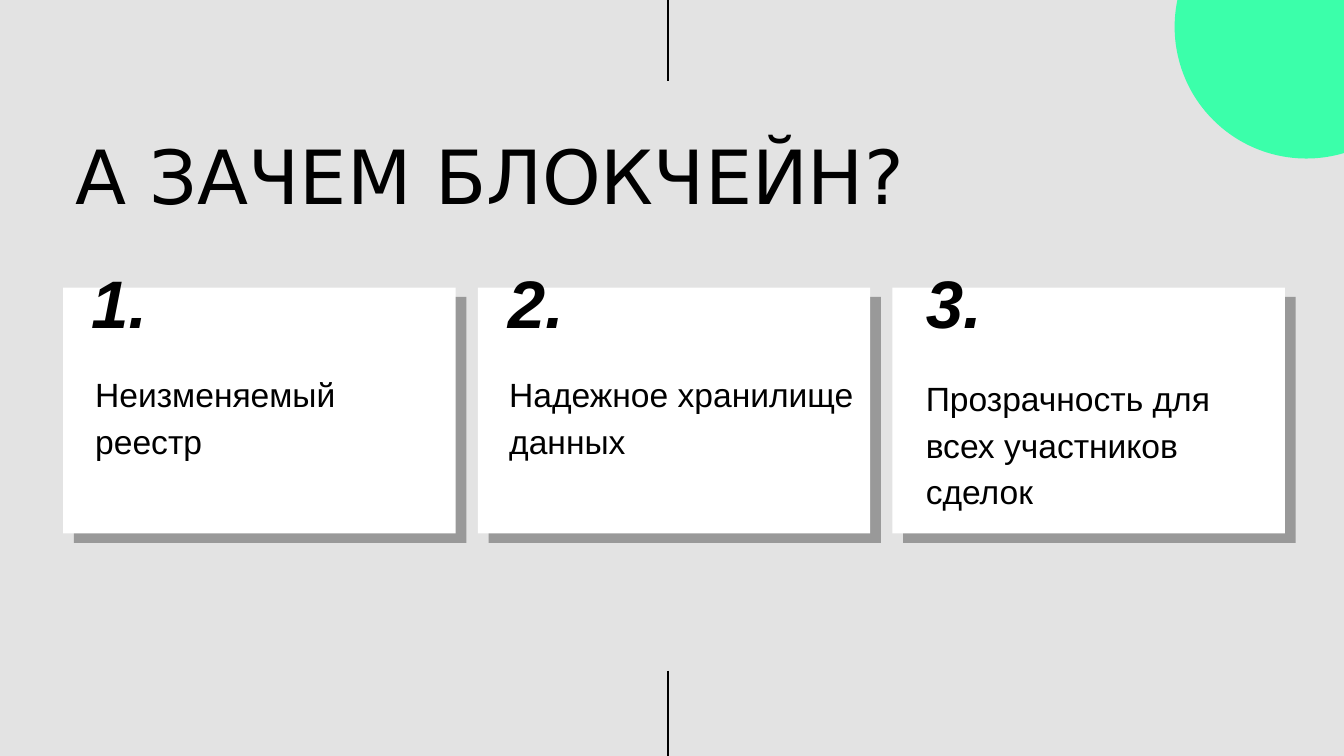
from lxml import etree
from pptx import Presentation
from pptx import util as u
from pptx.dml.color import RGBColor
from pptx.enum import shapes, text
from pptx.oxml.ns import qn

MIDDLE, TOP = text.MSO_ANCHOR.MIDDLE, text.MSO_ANCHOR.TOP
TITLE = "А ЗАЧЕМ БЛОКЧЕЙН?"
# number left, body frame, anchor, top inset, body text
REASONS = [
    (0.58, (0.61, 2.38, 2.78, 1.41), MIDDLE, 0.1, "Неизменяемый реестр"),
    (3.68, (3.69, 2.38, 2.78, 1.41), MIDDLE, 0.1, "Надежное хранилище данных"),
    (6.79, (6.79, 2.17, 2.77, 1.3), TOP, 0.6,
     "Прозрачность для всех участников сделок"),
]
CARD_LEFT, CARD_LAST, CARD_TOP = 0.47, 6.64, 2.14
CARD_W, CARD_H = 2.92, 1.83
CARD_STEP = (CARD_LAST - CARD_LEFT) / (len(REASONS) - 1)
SHADE_DX, SHADE_DY = 0.08, 0.07
AXIS_X = 4.97
AXIS_SPANS = [(-0.6, 0.6), (4.99, 6.18)]


def rgb(code):
    """Turn a hex string into a colour."""
    return RGBColor.from_string(code)


def box(*lengths):
    """Convert lengths in inches."""
    return [u.Inches(n) for n in lengths]


def add_filled(kind, at, fill):
    """Add a plain shape without outline or shadow."""
    sp = s.shapes.add_shape(kind, *box(*at))
    sp.shadow.inherit = False
    sp.fill.solid()
    sp.fill.fore_color.rgb = rgb(fill)
    sp.line.fill.background()


def write(sp, words, size, font="Arial", strong=False, anchor=MIDDLE, inset=0.1):
    """Write one left-aligned paragraph."""
    tf = sp.text_frame
    tf.text = words
    tf.word_wrap = True
    tf.auto_size = text.MSO_AUTO_SIZE.NONE
    tf.vertical_anchor = anchor
    tf.margin_left = tf.margin_right = tf.margin_bottom = u.Inches(0.1)
    tf.margin_top = u.Inches(inset)
    p = tf.paragraphs[0]
    p.alignment = text.PP_ALIGN.LEFT
    p.line_spacing = 1.15
    f = p.runs[0].font
    f.name, f.size = font, u.Pt(size)
    f.bold = f.italic = strong
    f.color.rgb = rgb("000000")


def add_axis(top, bottom):
    """Add one vertical black line on the axis."""
    line = s.shapes.add_connector(
        shapes.MSO_CONNECTOR.STRAIGHT, *box(AXIS_X, top, AXIS_X, bottom))
    line.line.color.rgb = rgb("000000")
    line.line.width = u.Pt(1.5)
    etree.SubElement(line._element.spPr, qn("a:effectLst"))


prs = Presentation()
prs.slide_width, prs.slide_height = box(10, 10 * 9 / 16)
s = prs.slides.add_slide(prs.slide_layouts[5])
s.background.fill.solid()
s.background.fill.fore_color.rgb = rgb("E3E3E3")

title = s.shapes.title
title.left, title.top, title.width, title.height = box(0.46, 1.04, 9.15, 0.42)
write(title, TITLE, 40, "DejaVu Sans")

for dx, dy, fill in [(SHADE_DX, SHADE_DY, "999999"), (0, 0, "FFFFFF")]:
    for i in range(len(REASONS)):
        add_filled(shapes.MSO_SHAPE.RECTANGLE,
                   (CARD_LEFT + i * CARD_STEP + dx, CARD_TOP + dy, CARD_W, CARD_H),
                   fill)
add_filled(shapes.MSO_SHAPE.OVAL, (8.74, -0.78, 1.96, 1.96), "3BFFAA")

for i, (number_x, frame, anchor, inset, words) in enumerate(REASONS, 1):
    write(s.shapes.add_textbox(*box(*frame)), words, 18,
          anchor=anchor, inset=inset)
    write(s.shapes.add_textbox(*box(number_x, 1.67, 0.87, 1.06)),
          f"{i}.", 36, strong=True)

for span in AXIS_SPANS:
    add_axis(*span)

prs.save("out.pptx")
